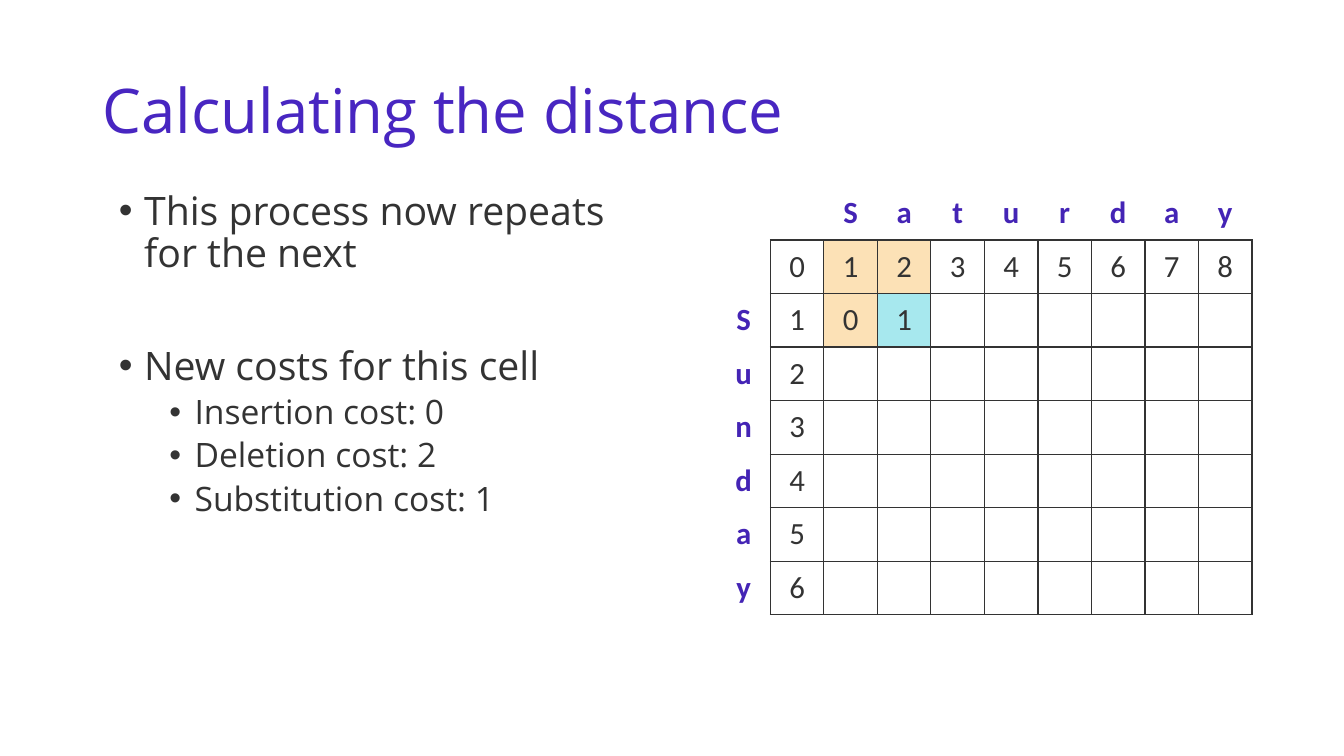
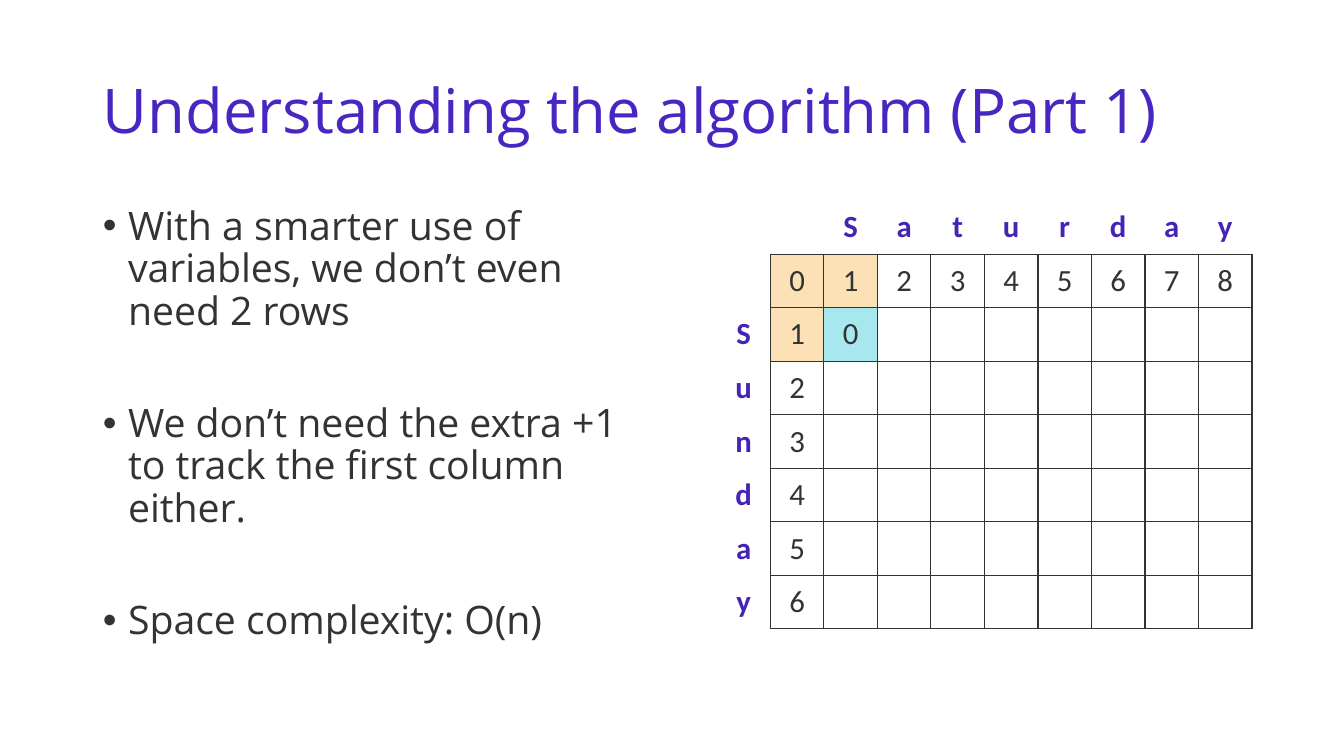
from lxml.etree import SubElement
from pptx import Presentation
from pptx.dml.color import RGBColor
from pptx.enum.text import MSO_ANCHOR, MSO_AUTO_SIZE, PP_ALIGN
from pptx.oxml import parse_xml
from pptx.oxml.ns import nsdecls, qn
from pptx.util import Inches, Pt

TITLE_COLOR, LETTER_COLOR, TEXT_COLOR = "4826C1", "4424B5", "333333"
WHITE, NEIGHBOUR_FILL, CURRENT_FILL = "FFFFFF", "FCE1B6", "A7E8EE"
TEXT_FONT, TABLE_FONT = "Open Sans", "Calibri"
TITLE_BOX = (0.92, 0.4, 11.5, 1.45)
ACROSS, DOWN = "Saturday", "Sunday"
BULLET_SIZES, BULLET_INDENTS = (28, 24), (0.25, 0.75)
ITEM_GAP, SUBITEM_GAP, SECTION_GAP = 10, 5, 50


def rgb(color):
    """Turn a hex string into a colour."""
    return RGBColor.from_string(color)


def write_text(paragraph, text, size, font=TEXT_FONT, color=TEXT_COLOR, bold=False,
               align=PP_ALIGN.LEFT, line_spacing=None, before=0):
    """Write one formatted run into a paragraph."""
    paragraph.alignment = align
    paragraph.line_spacing = line_spacing
    paragraph.space_before = Pt(before)
    run = paragraph.add_run()
    run.text = text
    run.font.size = Pt(size)
    run.font.name = font
    run.font.bold = bold
    run.font.color.rgb = rgb(color)


def place(shape, box, anchor):
    """Move a placeholder to its box and set up its text frame."""
    shape.left, shape.top, shape.width, shape.height = map(Inches, box)
    frame = shape.text_frame
    frame.word_wrap = True
    frame.auto_size = MSO_AUTO_SIZE.NONE
    frame.vertical_anchor = anchor
    return frame


def add_title(slide, text):
    """Fill the title placeholder."""
    frame = place(slide.shapes.title, TITLE_BOX, MSO_ANCHOR.MIDDLE)
    write_text(frame.paragraphs[0], text, 44, color=TITLE_COLOR, line_spacing=0.9)


def add_bullets(slide, box, items):
    """Fill the body placeholder with (text, level, space before) items."""
    frame = place(slide.placeholders[1], box, MSO_ANCHOR.TOP)
    for index, (text, level, before) in enumerate(items):
        paragraph = frame.add_paragraph() if index else frame.paragraphs[0]
        paragraph.level = level
        properties = paragraph._p.get_or_add_pPr()
        properties.set("marL", str(Inches(BULLET_INDENTS[level])))
        properties.set("indent", str(Inches(-0.25)))
        SubElement(properties, qn("a:buFont")).set("typeface", "Arial")
        SubElement(properties, qn("a:buChar")).set("char", "•")
        write_text(paragraph, text, BULLET_SIZES[level], line_spacing=0.9, before=before)


def set_borders(cell, sides):
    """Draw the given sides (from L, R, T, B) of a cell and clear the others."""
    properties = cell._tc.get_or_add_tcPr()
    solid = f'<a:solidFill><a:srgbClr val="{TEXT_COLOR}"/></a:solidFill>'
    for position, side in enumerate("LRTB"):
        line = solid if side in sides else "<a:noFill/>"
        properties.insert(position, parse_xml(
            f'<a:ln{side} {nsdecls("a")} w="{Pt(1)}">{line}</a:ln{side}>'))


def format_cell(cell, text, fill, sides, is_letter):
    """Fill, frame and label one table cell."""
    cell.fill.solid()
    cell.fill.fore_color.rgb = rgb(fill)
    cell.vertical_anchor = MSO_ANCHOR.MIDDLE
    cell.margin_left = cell.margin_right = Inches(0.12)
    cell.margin_top = cell.margin_bottom = Inches(0.06)
    set_borders(cell, sides)
    if text:
        write_text(cell.text_frame.paragraphs[0], text, 22, font=TABLE_FONT, bold=is_letter,
                   color=LETTER_COLOR if is_letter else TEXT_COLOR, align=PP_ALIGN.CENTER)


def add_distance_table(slide, box, costs):
    """Draw the edit distance grid; the last known cost is the current cell."""
    column_count, row_count = len(ACROSS) + 2, len(DOWN) + 2
    left, top, width, height = map(Inches, box)
    table = slide.shapes.add_table(row_count, column_count, left, top, width, height).table
    table.first_row = table.horz_banding = False
    for column in table.columns:
        column.width = width // column_count
    for row in table.rows:
        row.height = height // row_count

    texts = {(0, index + 2): letter for index, letter in enumerate(ACROSS)}
    texts.update({(index + 2, 0): letter for index, letter in enumerate(DOWN)})
    texts.update({(1, column): str(column - 1) for column in range(1, column_count)})
    texts.update({(row, 1): str(row - 1) for row in range(1, row_count)})
    texts.update({(2, index + 2): str(cost) for index, cost in enumerate(costs)})

    current = len(costs) + 1
    fills = dict.fromkeys([(1, current - 1), (1, current), (2, current - 1)], NEIGHBOUR_FILL)
    fills[2, current] = CURRENT_FILL

    for row in range(row_count):
        for column in range(column_count):
            if row and column:
                sides = "LRTB"
            else:
                sides = "R" if row else "B" if column else ""
            format_cell(table.cell(row, column), texts.get((row, column)),
                        fills.get((row, column), WHITE), sides, not (row and column))


def add_distance_slide(presentation, title, bullet_box, items, table_top, costs):
    """Add a slide with a title, bullets on the left and the grid on the right."""
    slide = presentation.slides.add_slide(presentation.slide_layouts[1])
    add_title(slide, title)
    add_bullets(slide, bullet_box, items)
    add_distance_table(slide, (7.11, table_top, 5.31, 4.25), costs)


def main():
    """Build and save the presentation."""
    presentation = Presentation()
    presentation.slide_width, presentation.slide_height = Inches(13.33), Inches(7.5)
    add_distance_slide(
        presentation, "Calculating the distance", (1.08, 1.85, 5.54, 4.91),
        [("This process now repeats for the next", 0, 0),
         ("New costs for this cell", 0, SECTION_GAP),
         ("Insertion cost: 0", 1, SUBITEM_GAP),
         ("Deletion cost: 2", 1, SUBITEM_GAP),
         ("Substitution cost: 1", 1, SUBITEM_GAP)],
        1.85, [0, 1])
    add_distance_slide(
        presentation, "Understanding the algorithm (Part 1)", (0.92, 2, 5.75, 4.76),
        [("With a smarter use of variables, we don’t even need 2 rows", 0, 0),
         ("We don’t need the extra +1 to track the first column either.", 0, SECTION_GAP),
         ("Space complexity: O(n)", 0, SECTION_GAP)],
        1.99, [0])
    presentation.save("out.pptx")


if __name__ == "__main__":
    main()
